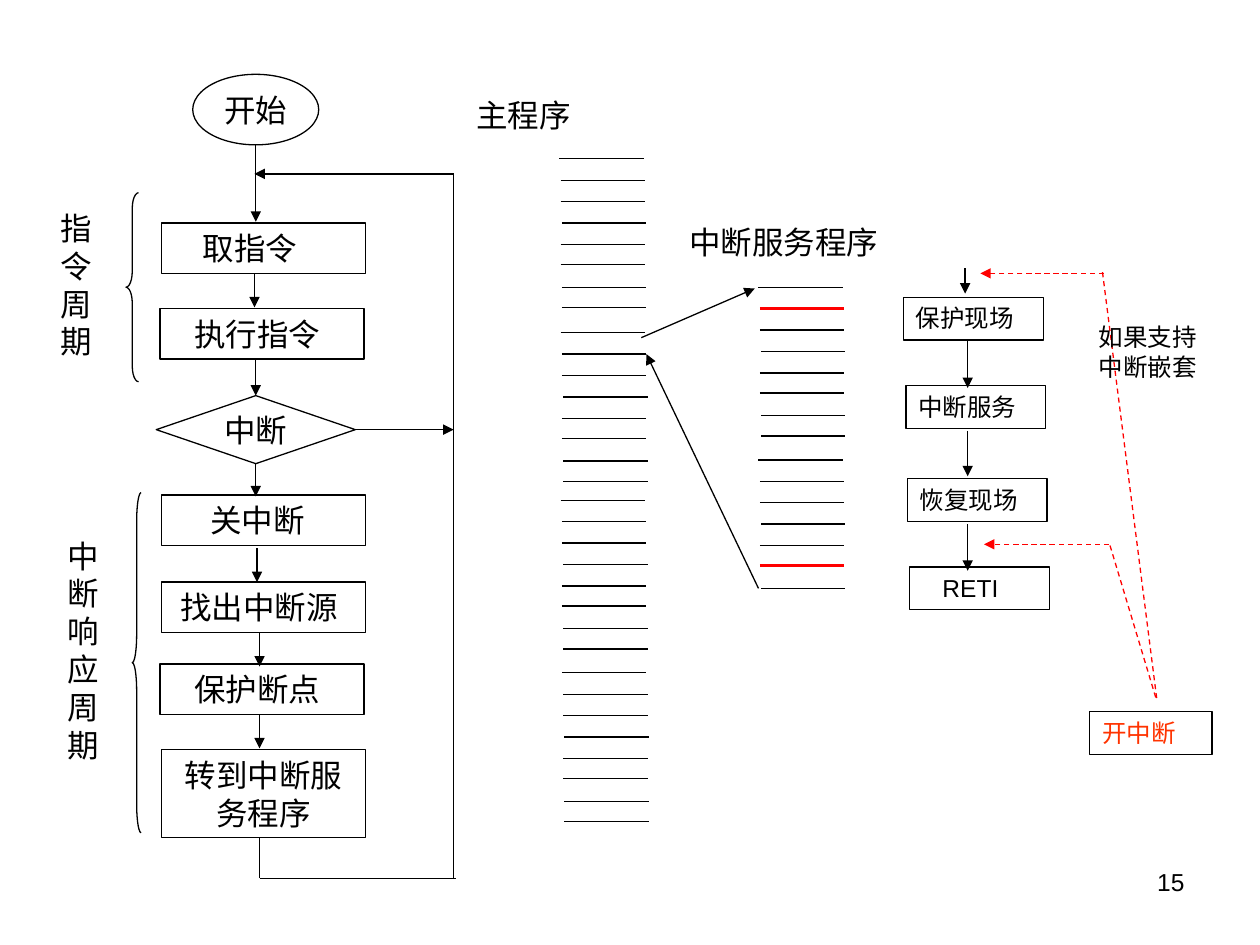
from lxml import etree
from pptx import Presentation
from pptx.dml.color import RGBColor
from pptx.enum.dml import MSO_LINE
from pptx.enum.shapes import MSO_CONNECTOR, MSO_SHAPE
from pptx.enum.text import MSO_ANCHOR, MSO_AUTO_SIZE, PP_ALIGN
from pptx.oxml.ns import qn
from pptx.util import Inches, Pt

COLORS = {"black": "000000", "red": "FF0000", "orange": "FF3300"}

presentation = Presentation()
presentation.slide_width = Inches(10)
presentation.slide_height = Inches(7.5)
slide = presentation.slides.add_slide(presentation.slide_layouts[6])


def add_label(lines, left, top, width, height, kind=None, size=18, color="black",
              align=PP_ALIGN.LEFT, inset=0.1, wrap=True, grow=True):
    """Add text in an outlined shape, or in a text box when kind is None."""
    box = [Inches(value) for value in (left, top, width, height)]
    if kind is None:
        shape = slide.shapes.add_textbox(*box)
    else:
        shape = slide.shapes.add_shape(kind, *box)
        shape.shadow.inherit = False
        shape.fill.background()
        shape.line.color.rgb = RGBColor.from_string(COLORS["black"])
        shape.line.width = Pt(0.75)
    frame = shape.text_frame
    frame.word_wrap = wrap
    frame.auto_size = MSO_AUTO_SIZE.SHAPE_TO_FIT_TEXT if grow else MSO_AUTO_SIZE.NONE
    frame.vertical_anchor = MSO_ANCHOR.TOP
    frame.margin_left = Inches(inset)
    frame.margin_right = Inches(min(inset, 0.1))
    frame.margin_top = frame.margin_bottom = Inches(0.05)
    for index, line in enumerate(lines):
        paragraph = frame.add_paragraph() if index else frame.paragraphs[0]
        paragraph.alignment = align
        run = paragraph.add_run()
        run.text = line
        run.font.name = "Arial"
        run.font.size = Pt(size)
        run.font.color.rgb = RGBColor.from_string(COLORS[color])
    return shape


def add_line(x1, y1, x2, y2, arrow=False, color="black", width=0.75, dashed=False):
    """Add a straight connector, with an arrowhead at its end if asked."""
    connector = slide.shapes.add_connector(
        MSO_CONNECTOR.STRAIGHT, Inches(x1), Inches(y1), Inches(x2), Inches(y2))
    connector.line.color.rgb = RGBColor.from_string(COLORS[color])
    connector.line.width = Pt(width)
    if dashed:
        connector.line.dash_style = MSO_LINE.DASH
    if arrow:
        etree.SubElement(connector.line._get_or_add_ln(), qn("a:tailEnd"), type="triangle")
    etree.SubElement(connector._element.spPr, qn("a:effectLst"))
    return connector


# Flowchart steps: text, left, top, height, alignment, left inset
steps = [
    ("取指令", 1.28, 1.77, 0.4, PP_ALIGN.LEFT, 0.33),
    ("执行指令", 1.27, 2.45, 0.4, PP_ALIGN.LEFT, 0.27),
    ("关中断", 1.28, 3.93, 0.4, PP_ALIGN.LEFT, 0.39),
    ("找出中断源", 1.28, 4.62, 0.4, PP_ALIGN.LEFT, 0.15),
    ("保护断点", 1.27, 5.27, 0.4, PP_ALIGN.LEFT, 0.27),
    ("转到中断服务程序", 1.28, 5.95, 0.7, PP_ALIGN.CENTER, 0.1),
]
for text, left, top, height, align, inset in steps:
    add_label([text], left, top, 1.62, height, MSO_SHAPE.RECTANGLE,
              align=align, inset=inset)

# Start and decision
start = add_label(["开始"], 1.53, 0.59, 1, 0.56, MSO_SHAPE.OVAL,
                  align=PP_ALIGN.CENTER, wrap=False, grow=False)
decision = add_label(["中断"], 1.24, 3.14, 1.58, 0.54, MSO_SHAPE.DIAMOND,
                     align=PP_ALIGN.CENTER, wrap=False, grow=False)
for shape in (start, decision):
    shape.text_frame.vertical_anchor = MSO_ANCHOR.MIDDLE

# Flowchart arrows
add_line(2.03, 1.15, 2.03, 1.76, arrow=True).begin_connect(start, 2)
add_line(2.03, 2.86, 2.03, 3.14, arrow=True).end_connect(decision, 0)
add_line(2.03, 3.68, 2.03, 3.94, arrow=True).begin_connect(decision, 2)
add_line(2.82, 3.41, 3.6, 3.41, arrow=True).begin_connect(decision, 3)
for x, top in [(2.02, 2.17), (2.04, 4.35), (2.06, 5.02), (2.06, 5.67)]:
    add_line(x, top, x, top + 0.27, arrow=True)

# Loop back to the first step
add_line(2.06, 6.65, 2.06, 6.97)
add_line(2.06, 6.97, 3.62, 6.97)
add_line(3.6, 3.41, 3.6, 6.97)
add_line(3.6, 1.39, 3.6, 3.41)
add_line(3.6, 1.38, 2.02, 1.38, arrow=True)

# Cycle braces and their labels; the curve height is a share of the width
for left, top, width, height, curve in [(1, 1.53, 0.1, 1.5, 1.25),
                                        (1.05, 3.91, 0.07, 2.7, 3.21)]:
    brace = add_label([], left, top, width, height, MSO_SHAPE.LEFT_BRACE, grow=False)
    brace.adjustments[0] = curve
add_label(["指令周期"], 0.38, 1.61, 0.42, 1.3)
add_label(["中断响应周期"], 0.44, 4.21, 0.49, 1.9)

# Program listings: blocks of eight code lines, each block slightly shifted
line_offsets = [(0, 0), (0.01, 0.17), (0.01, 0.34), (0.02, 0.51),
                (0.01, 0.68), (0.01, 0.84), (0.02, 1.02), (0.02, 1.18)]
main_blocks = [(4.44, 1.26), (4.45, 2.64), (4.45, 3.97), (4.46, 5.34)]
service_blocks = [(6.02, 2.28), (6.02, 3.65)]
main_lines = [(x + dx, y + dy) for x, y in main_blocks for dx, dy in line_offsets]
service_lines = [(x + dx, y + dy) for x, y in service_blocks for dx, dy in line_offsets][:15]
for x, y in main_lines:
    add_line(x, y, x + 0.67, y)
for index, (x, y) in enumerate(service_lines):
    marked = index in (1, 13)
    add_line(x, y, x + 0.67, y, color="red" if marked else "black",
             width=2 if marked else 0.75)
add_label(["主程序"], 3.56, 0.71, 1.62, 0.4, inset=0.22)
add_label(["中断服务程序"], 5.47, 1.72, 1.68, 0.4, inset=0)

# Jump to the service program and return
add_line(5.09, 2.68, 5.99, 2.29, arrow=True)
add_line(6.02, 4.67, 5.13, 2.81, arrow=True)

# Service routine steps
for text, left, top, inset in [("保护现场", 7.17, 2.36, 0.1), ("中断服务", 7.19, 3.06, 0.1),
                               ("恢复现场", 7.2, 3.8, 0.1), ("RETI", 7.22, 4.5, 0.26)]:
    add_label([text], left, top, 1.11, 0.34, MSO_SHAPE.RECTANGLE, size=14, inset=inset)
for x, top, bottom in [(7.66, 2.13, 2.33), (7.68, 2.71, 3.08),
                       (7.68, 3.42, 3.78), (7.68, 4.16, 4.53)]:
    add_line(x, top, x, bottom, arrow=True)

# Points where interrupts are enabled again
add_label(["开中断"], 8.65, 5.65, 0.97, 0.34, MSO_SHAPE.RECTANGLE, size=14, color="orange")
for x1, y1, x2, y2, arrow in [(8.76, 2.17, 7.78, 2.17, True), (8.8, 4.32, 7.81, 4.32, True),
                              (8.75, 2.16, 9.18, 5.54, False), (8.81, 4.33, 9.18, 5.56, False)]:
    add_line(x1, y1, x2, y2, arrow, color="red", dashed=True)
add_label(["如果支持", "中断嵌套"], 8.62, 2.51, 0.98, 0.57, size=14, wrap=False)

# Page number
add_label(["15"], 7.17, 6.83, 2.33, 0.52, size=14, align=PP_ALIGN.RIGHT, grow=False)

presentation.save("out.pptx")
